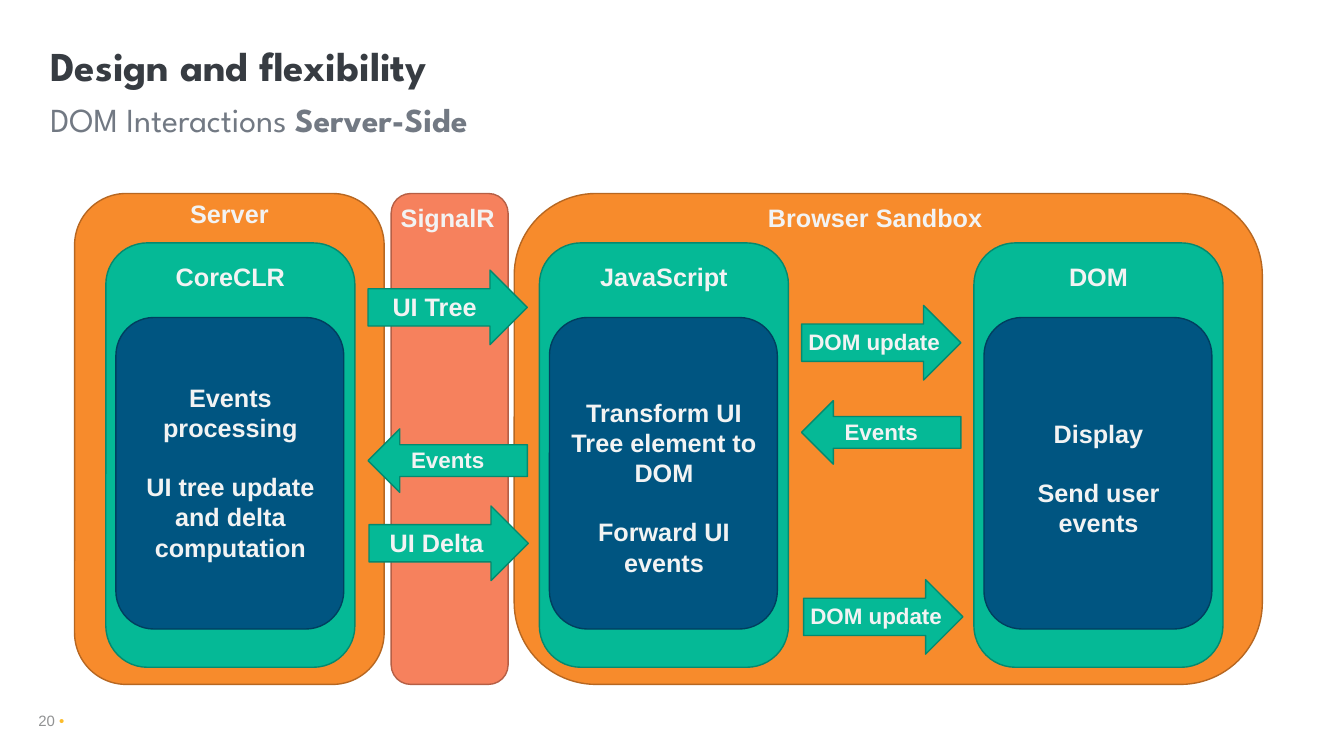
import pptx
import pptx.util
import pptx.dml.color
import pptx.enum.shapes
import pptx.enum.text
import pptx.oxml.ns
from lxml import etree

COLORS = {
    "title": "373C42", "subtitle": "727983", "number": "919293", "dot": "FCBC2B",
    "label": "F2F3F3", "orange": "F78B2C", "coral": "F6815D", "green": "05B996",
    "blue": "005581",
}
EDGES = {"orange": "B76721", "coral": "B65F45", "green": "04896F", "blue": "003F5F"}

TITLE = [("Design and flexibility", "title", True)]
SUBTITLE = [("DOM Interactions ", "subtitle", False), ("Server-Side", "subtitle", True)]
FOOTER = [("20 ", "number", False), ("•", "dot", False)]

# heading, colour, left, width, heading shift, heading top
PANELS = [
    ("SignalR", "coral", 3.88, 1.16, -0.02, 1.96),
    ("Server", "orange", 0.74, 3.07, 0, 1.92),
    ("Browser Sandbox", "orange", 5.1, 7.42, -0.13, 1.96),
]
# heading, left, tasks, top and height of the tasks
STACKS = [
    ("CoreCLR", 1.05, ["Events processing", "UI tree update and delta computation"], 3.74, 1.92),
    ("JavaScript", 5.35, ["Transform UI Tree element to DOM", "Forward UI events"], 3.89, 1.92),
    ("DOM", 9.66, ["Display", "Send user events"], 4.1, 1.31),
]
# label, direction, left, middle, label shift, label size
ARROWS = [
    ("UI Tree", "right", 3.65, 3.05, -0.13, 18),
    ("Events", "left", 3.65, 4.57, 0, 16),
    ("UI Delta", "right", 3.66, 5.39, -0.12, 18),
    ("DOM update", "right", 7.95, 3.4, -0.07, 16),
    ("Events", "left", 7.95, 4.29, 0, 16),
    ("DOM update", "right", 7.97, 6.12, -0.07, 16),
]

PANEL_TOP, PANEL_H = 1.92, 4.87
STACK_TOP, STACK_W, STACK_H = 2.41, 2.47, 4.21
TASK_TOP, TASK_W, TASK_H = 3.15, 2.26, 3.09
ARROW_W, ARROW_H = 1.58, {"right": 0.74, "left": 0.63}
LABEL_H = 0.4

KIND = pptx.enum.shapes.MSO_SHAPE
ALIGN = pptx.enum.text.PP_ALIGN
ANCHOR = pptx.enum.text.MSO_ANCHOR
INCH = pptx.util.Inches
PT = pptx.util.Pt

prs = pptx.Presentation()
prs.slide_width, prs.slide_height = INCH(13.33), INCH(7.5)
s = prs.slides.add_slide(prs.slide_layouts[1])


def rgb(name):
    return pptx.dml.color.RGBColor.from_string(name)


def style(r, color, size, font, bold):
    r.font.name, r.font.size, r.font.bold = font, PT(size), bold
    r.font.color.rgb = rgb(COLORS[color])


def add_runs(p, runs, size, font):
    for text, color, bold in runs:
        r = p.add_run()
        r.text = text
        style(r, color, size, font, bold)


def heading(sp, top, height, runs, size):
    sp.left, sp.top, sp.width, sp.height = map(INCH, (0.4, top, 12.52, height))
    tf = sp.text_frame
    tf.auto_size = pptx.enum.text.MSO_AUTO_SIZE.NONE
    tf.vertical_anchor = ANCHOR.MIDDLE
    p = tf.paragraphs[0]
    pPr = p._p.get_or_add_pPr()
    pPr.set("marL", "0")
    pPr.set("indent", "0")
    etree.SubElement(pPr, pptx.oxml.ns.qn("a:buNone"))
    p.alignment, p.line_spacing, p.space_before = ALIGN.LEFT, 0.9, PT(0)
    add_runs(p, runs, size, "League Spartan")


def shape(kind, color, left, top, width, height):
    sp = s.shapes.add_shape(kind, *map(INCH, (left, top, width, height)))
    sp.shadow.inherit = False
    sp.fill.solid()
    sp.fill.fore_color.rgb = rgb(COLORS[color])
    sp.line.color.rgb = rgb(EDGES[color])
    sp.line.width = PT(1)


def label(lines, center, top, width, height=LABEL_H, size=18):
    sp = s.shapes.add_textbox(*map(INCH, (center - width / 2, top, width, height)))
    tf = sp.text_frame
    tf.word_wrap = True
    tf.text = "\n".join(lines)
    for i, p in enumerate(tf.paragraphs):
        p.alignment = ALIGN.CENTER
        if i:
            p.space_before = PT(size * 1.15)
        style(p.runs[0], "label", size, "Arial", True)


heading(s.shapes.title, 0.4, 0.55, TITLE, 29.3)
heading(s.placeholders[1], 1, 0.42, SUBTITLE, 24)

sp = s.shapes.add_textbox(*map(INCH, (0.25, 6.95, 11.27, 0.4)))
tf = sp.text_frame
tf.word_wrap = True
tf.vertical_anchor = ANCHOR.MIDDLE
tf.margin_left = tf.margin_right = INCH(0.13)
tf.margin_top = tf.margin_bottom = INCH(0.07)
add_runs(tf.paragraphs[0], FOOTER, 10.7, "Arial")

for name, color, left, width, shift, top in PANELS:
    shape(KIND.ROUNDED_RECTANGLE, color, left, PANEL_TOP, width, PANEL_H)
for name, color, left, width, shift, top in PANELS:
    label([name], left + width / 2 + shift, top, 2.47)

for name, left, tasks, top, height in STACKS:
    center = left + STACK_W / 2
    shape(KIND.ROUNDED_RECTANGLE, "green", left, STACK_TOP, STACK_W, STACK_H)
    label([name], center, 2.54, 2.73)
    shape(KIND.ROUNDED_RECTANGLE, "blue", left + 0.1, TASK_TOP, TASK_W, TASK_H)
    label(tasks, center, top, 2.11, height)

for name, direction, left, middle, shift, size in ARROWS:
    height = ARROW_H[direction]
    kind = KIND.RIGHT_ARROW if direction == "right" else KIND.LEFT_ARROW
    shape(kind, "green", left, middle - height / 2, ARROW_W, height)
    text_h = LABEL_H if size == 18 else 0.37
    label([name], left + ARROW_W / 2 + shift, middle - text_h / 2 - 0.01, 2.01, text_h, size)

prs.save("out.pptx")
